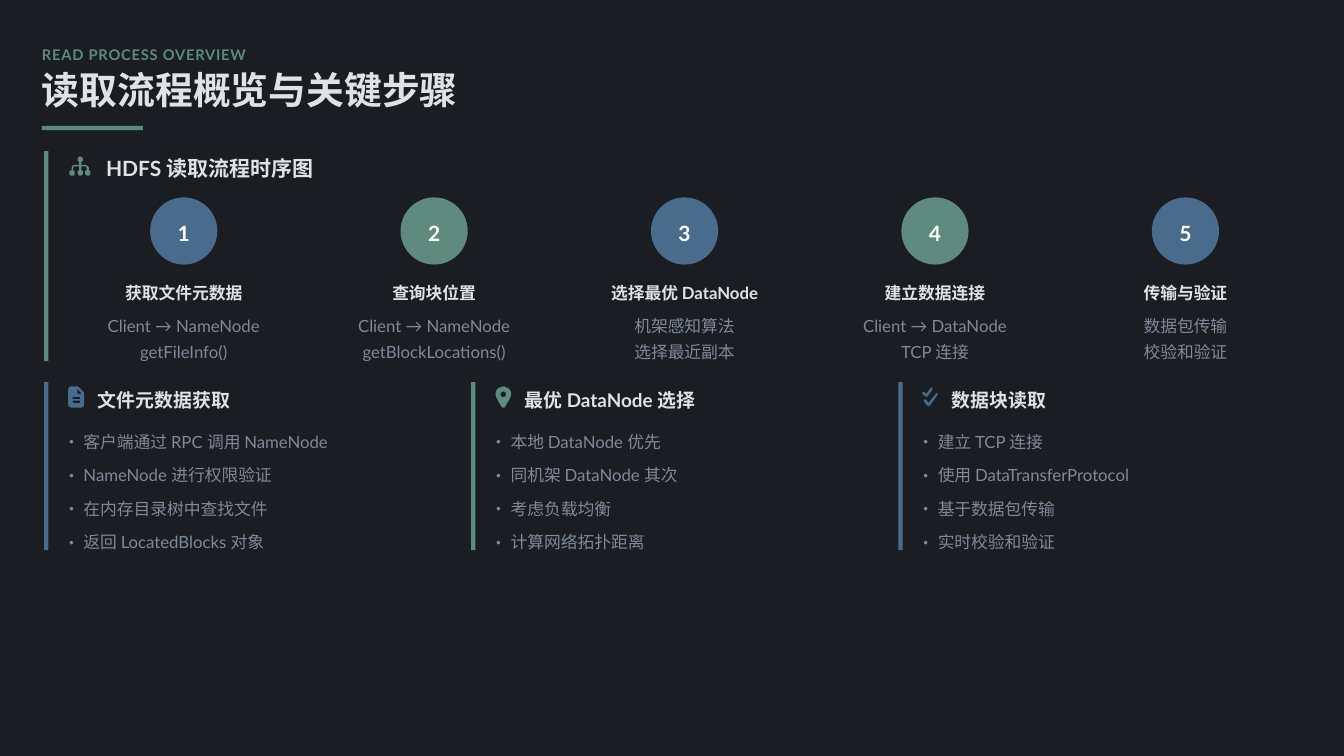
from lxml import etree
from pptx import Presentation
from pptx.dml.color import RGBColor
from pptx.enum import shapes, text
from pptx.oxml import ns
from pptx.util import Pt

COLORS = {
    "background": "1A1D21",
    "green": "5E8B7E",
    "blue": "4A6C8C",
    "heading": "E0E2E5",
    "body": "7D8A99",
    "white": "FFFFFF",
}
LATIN, CHINESE = "Lato", "Noto Sans CJK SC"

ICONS = {
    "hierarchy": [[
        (11, 3), (13, 1), (16, 1), (18, 3), (18, 6), (16, 8), (16, 12), (22, 12), (25, 14),
        (26, 16), (26, 19), (28, 20), (28, 24), (26, 26), (23, 26), (21, 24), (21, 20),
        (23, 19), (23, 16), (22, 14), (16, 14), (16, 19), (18, 20), (18, 24), (16, 26),
        (13, 26), (11, 24), (11, 20), (13, 19), (13, 14), (6, 14), (5, 16), (5, 19),
        (7, 20), (7, 24), (6, 26), (2, 26), (0, 24), (0, 20), (3, 19), (3, 16), (4, 13),
        (6, 12), (13, 12), (13, 8), (11, 6),
    ]],
    "document": [
        [(0, 4), (1, 1), (4, 0), (12, 0), (14, 1), (20, 7), (21, 9), (21, 24), (20, 27),
         (18, 28), (4, 28), (1, 27), (0, 24)],
        [(12, 3), (12, 8), (13, 10), (18, 10)],
        [(5, 15), (7, 14), (15, 14), (16, 15), (15, 17), (7, 17)],
        [(5, 20), (7, 19), (15, 19), (16, 20), (15, 22), (7, 22)],
    ],
    "pin": [
        [(0, 10), (1, 6), (3, 3), (7, 1), (11, 0), (14, 1), (18, 3), (20, 6), (21, 10),
         (20, 14), (17, 20), (12, 28), (9, 28), (4, 20), (1, 14)],
        [(9, 7), (12, 7), (14, 9), (14, 12), (12, 14), (9, 14), (7, 12), (7, 9)],
    ],
    "checks": [
        [(13, 4), (13, 1), (11, 2), (5, 10), (3, 8), (1, 7), (0, 8), (0, 10), (4, 13),
         (5, 14), (7, 13)],
        [(20, 11), (20, 9), (18, 9), (8, 22), (5, 18), (3, 17), (2, 18), (2, 20), (7, 26),
         (9, 26), (10, 25)],
    ],
}

STEPS = [
    ("获取文件元数据", ["Client → NameNode", "getFileInfo()"]),
    ("查询块位置", ["Client → NameNode", "getBlockLocations()"]),
    ("选择最优 DataNode", ["机架感知算法", "选择最近副本"]),
    ("建立数据连接", ["Client → DataNode", "TCP 连接"]),
    ("传输与验证", ["数据包传输", "校验和验证"]),
]

CARDS = [
    ("文件元数据获取", 135, "document", "blue",
     ["客户端通过 RPC 调用 NameNode", "NameNode 进行权限验证", "在内存目录树中查找文件", "返回 LocatedBlocks 对象"]),
    ("最优 DataNode 选择", 180, "pin", "green",
     ["本地 DataNode 优先", "同机架 DataNode 其次", "考虑负载均衡", "计算网络拓扑距离"]),
    ("数据块读取", 99, "checks", "blue",
     ["建立 TCP 连接", "使用 DataTransferProtocol", "基于数据包传输", "实时校验和验证"]),
]

deck = Presentation()
deck.slide_width, deck.slide_height = Pt(1280), Pt(720)
page = deck.slides.add_slide(deck.slide_layouts[6])
page.background.fill.solid()
page.background.fill.fore_color.rgb = RGBColor.from_string(COLORS["background"])


def write(box, lines, size, color, bold=False, centered=False, spacing=1.3,
          font=LATIN, tracking=0, bullets=False):
    frame = box.text_frame
    frame.word_wrap = True
    frame.vertical_anchor = text.MSO_ANCHOR.MIDDLE
    frame.margin_left = frame.margin_top = frame.margin_right = frame.margin_bottom = 0
    for index, line in enumerate(lines):
        para = frame.paragraphs[0] if index == 0 else frame.add_paragraph()
        para.alignment = text.PP_ALIGN.CENTER if centered else text.PP_ALIGN.LEFT
        para.line_spacing = spacing
        if bullets:
            props = para._p.get_or_add_pPr()
            props.set("marL", str(Pt(19.5)))
            props.set("indent", str(-Pt(19.5)))
            etree.SubElement(props, ns.qn("a:buFont")).set("typeface", CHINESE)
            etree.SubElement(props, ns.qn("a:buChar")).set("char", "•")
        span = para.add_run()
        span.text = line
        span.font.name = font
        span.font.size = Pt(size)
        span.font.bold = bold
        span.font.color.rgb = RGBColor.from_string(COLORS[color])
        run_props = span.font._element
        run_props.find(ns.qn("a:latin")).addnext(
            run_props.makeelement(ns.qn("a:ea"), {"typeface": CHINESE}))
        if tracking:
            run_props.set("spc", str(tracking))


def paint(shape, color):
    shape.shadow.inherit = False
    shape.fill.solid()
    shape.fill.fore_color.rgb = RGBColor.from_string(COLORS[color])
    shape.line.fill.background()


eyebrow = page.shapes.add_textbox(Pt(40), Pt(40), Pt(1207), Pt(20))
write(eyebrow, ["READ PROCESS OVERVIEW"], 14, "green", bold=True, spacing=1.2, tracking=70)
title = page.shapes.add_textbox(Pt(40), Pt(68), Pt(1218), Pt(40))
write(title, ["读取流程概览与关键步骤"], 36, "heading", bold=True, spacing=0.9, font=CHINESE)

bars = [(40, 120, 96, 4, "green"), (42, 144, 4, 200, "green")]
icons = [("hierarchy", 66, 148.5, "green")]
headings = [("HDFS 读取流程时序图", 101, 144, 208, 20, 1.2)]
for index, (heading, width, icon, color, items) in enumerate(CARDS):
    left = 42 + 406.8 * index
    bars.append((left, 364, 4, 160, color))
    icons.append((icon, left + 23, 368, color))
    headings.append((heading, left + 51, 364, width, 18, 1.3))
    item_list = page.shapes.add_textbox(Pt(left + 18), Pt(398), Pt(375), Pt(128))
    write(item_list, items, 16, "body", spacing=Pt(32), bullets=True)

for left, top, width, height, color in bars:
    bar = page.shapes.add_shape(
        shapes.MSO_SHAPE.RECTANGLE, Pt(left), Pt(top), Pt(width), Pt(height))
    paint(bar, color)

for icon, left, top, color in icons:
    outlines = ICONS[icon]
    builder = page.shapes.build_freeform(*outlines[0][0], scale=Pt(0.72))
    builder.add_line_segments(outlines[0][1:], close=True)
    for outline in outlines[1:]:
        builder.move_to(*outline[0])
        builder.add_line_segments(outline[1:], close=True)
    paint(builder.convert_to_shape(Pt(left), Pt(top)), color)

for heading, left, top, width, size, spacing in headings:
    box = page.shapes.add_textbox(Pt(left), Pt(top), Pt(width), Pt(28))
    write(box, [heading], size, "heading", bold=True, spacing=spacing)

for index, (name, details) in enumerate(STEPS):
    left = 60 + 238.5 * index
    circle = page.shapes.add_shape(
        shapes.MSO_SHAPE.OVAL, Pt(left + 83), Pt(188), Pt(64), Pt(64))
    paint(circle, "green" if index % 2 else "blue")
    write(circle, [str(index + 1)], 20, "white", bold=True, centered=True, spacing=1.2)
    label = page.shapes.add_textbox(Pt(left), Pt(264), Pt(230), Pt(24))
    write(label, [name], 16, "heading", bold=True, centered=True)
    detail = page.shapes.add_textbox(Pt(left), Pt(296), Pt(230), Pt(48))
    write(detail, details, 16, "body", centered=True)

deck.save("out.pptx")
